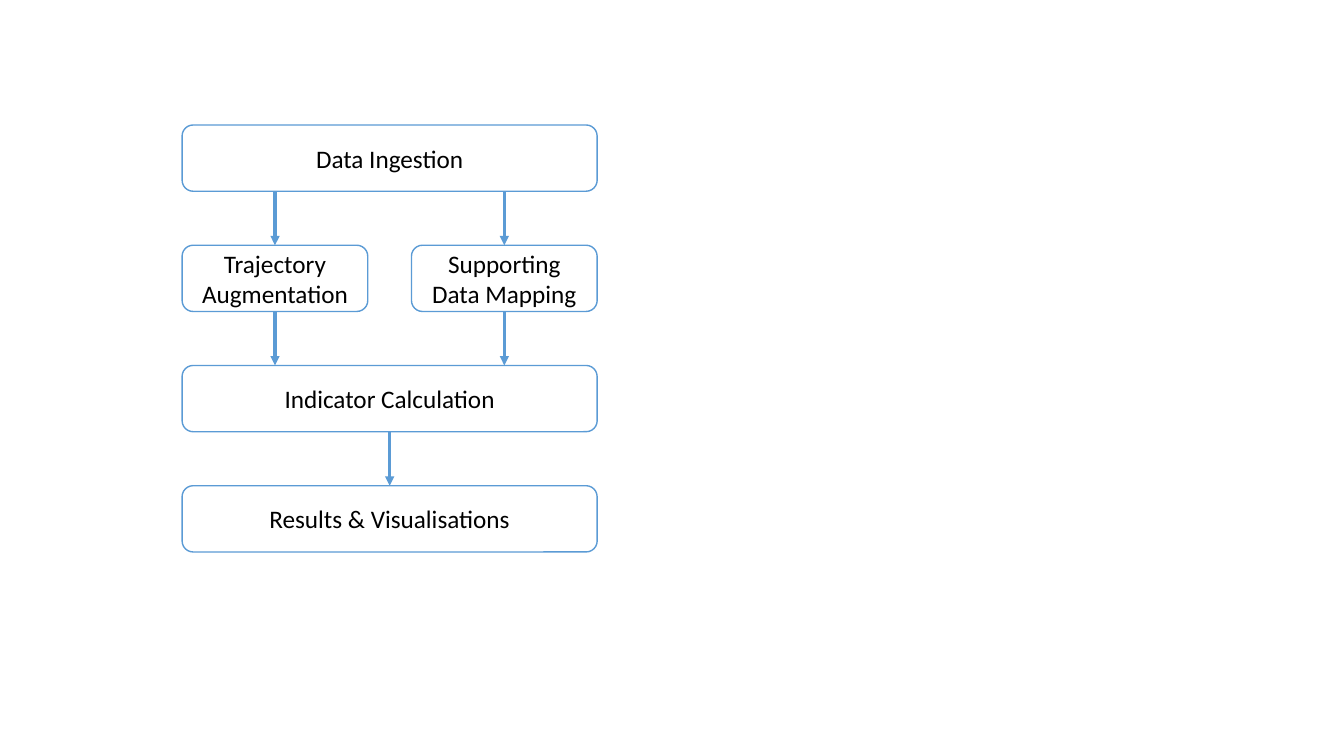
from dataclasses import dataclass

from lxml import etree
from pptx import Presentation
from pptx.dml.color import RGBColor
from pptx.enum.shapes import MSO_CONNECTOR, MSO_SHAPE
from pptx.enum.text import MSO_ANCHOR, PP_ALIGN
from pptx.oxml.ns import qn
from pptx.shapes.shapetree import SlideShapes
from pptx.util import Cm, Pt

ROUNDED = MSO_SHAPE.ROUNDED_RECTANGLE
STRAIGHT = MSO_CONNECTOR.STRAIGHT
CENTER = PP_ALIGN.CENTER
MIDDLE = MSO_ANCHOR.MIDDLE

BLUE = RGBColor(0x5B, 0x9B, 0xD5)
WHITE = RGBColor(0xFF, 0xFF, 0xFF)
BLACK = RGBColor(0x00, 0x00, 0x00)

# Lengths in centimetres
FLOW_LEFT = 4.59
FLOW_TOP = 3.15
FLOW_WIDTH = 10.46
BRANCH_WIDTH = 4.68
STEP_HEIGHT = 1.67
ROW_PITCH = 3.03

RIGHT_BRANCH_LEFT = FLOW_LEFT + FLOW_WIDTH - BRANCH_WIDTH
LEFT_BRANCH_X = FLOW_LEFT + BRANCH_WIDTH / 2
RIGHT_BRANCH_X = RIGHT_BRANCH_LEFT + BRANCH_WIDTH / 2
FLOW_X = FLOW_LEFT + FLOW_WIDTH / 2


@dataclass(frozen=True)
class Step:
    label: str
    row: int
    left: float = FLOW_LEFT
    width: float = FLOW_WIDTH


@dataclass(frozen=True)
class Arrow:
    """An arrow from the bottom of one row to the top of the next."""
    from_row: int
    x: float


STEPS = [
    Step("Data Ingestion", 0),
    Step("Trajectory Augmentation", 1, FLOW_LEFT, BRANCH_WIDTH),
    Step("Supporting Data Mapping", 1, RIGHT_BRANCH_LEFT, BRANCH_WIDTH),
    Step("Indicator Calculation", 2),
    Step("Results & Visualisations", 3),
]
ARROWS = [
    Arrow(0, LEFT_BRANCH_X),
    Arrow(0, RIGHT_BRANCH_X),
    Arrow(1, LEFT_BRANCH_X),
    Arrow(1, RIGHT_BRANCH_X),
    Arrow(2, FLOW_X),
]


def row_top(row: int) -> float:
    return FLOW_TOP + row * ROW_PITCH


def draw_step(shapes: SlideShapes, step: Step) -> None:
    box = shapes.add_shape(ROUNDED, Cm(step.left), Cm(row_top(step.row)),
                           Cm(step.width), Cm(STEP_HEIGHT))
    box.shadow.inherit = False
    box.fill.solid()
    box.fill.fore_color.rgb = WHITE
    box.line.color.rgb = BLUE
    box.line.width = Pt(1)

    frame = box.text_frame
    frame.word_wrap = True
    frame.vertical_anchor = MIDDLE
    label = frame.paragraphs[0]
    label.text = step.label
    label.alignment = CENTER
    label.font.name = "Calibri"
    label.font.size = Pt(18)
    label.font.color.rgb = BLACK


def draw_arrow(shapes: SlideShapes, arrow: Arrow) -> None:
    start = row_top(arrow.from_row) + STEP_HEIGHT
    end = row_top(arrow.from_row + 1)
    connector = shapes.add_connector(STRAIGHT, Cm(arrow.x), Cm(start),
                                     Cm(arrow.x), Cm(end))
    connector.line.color.rgb = BLUE
    connector.line.width = Pt(2.25)
    properties = connector._element.spPr
    etree.SubElement(properties.find(qn("a:ln")), qn("a:tailEnd"), type="triangle")
    etree.SubElement(properties, qn("a:effectLst"))


def main() -> None:
    presentation = Presentation()
    presentation.slide_width = Cm(33.87)
    presentation.slide_height = Cm(19.05)
    slide = presentation.slides.add_slide(presentation.slide_layouts[6])
    for step in STEPS:
        draw_step(slide.shapes, step)
    for arrow in ARROWS:
        draw_arrow(slide.shapes, arrow)
    presentation.save("out.pptx")


if __name__ == "__main__":
    main()
